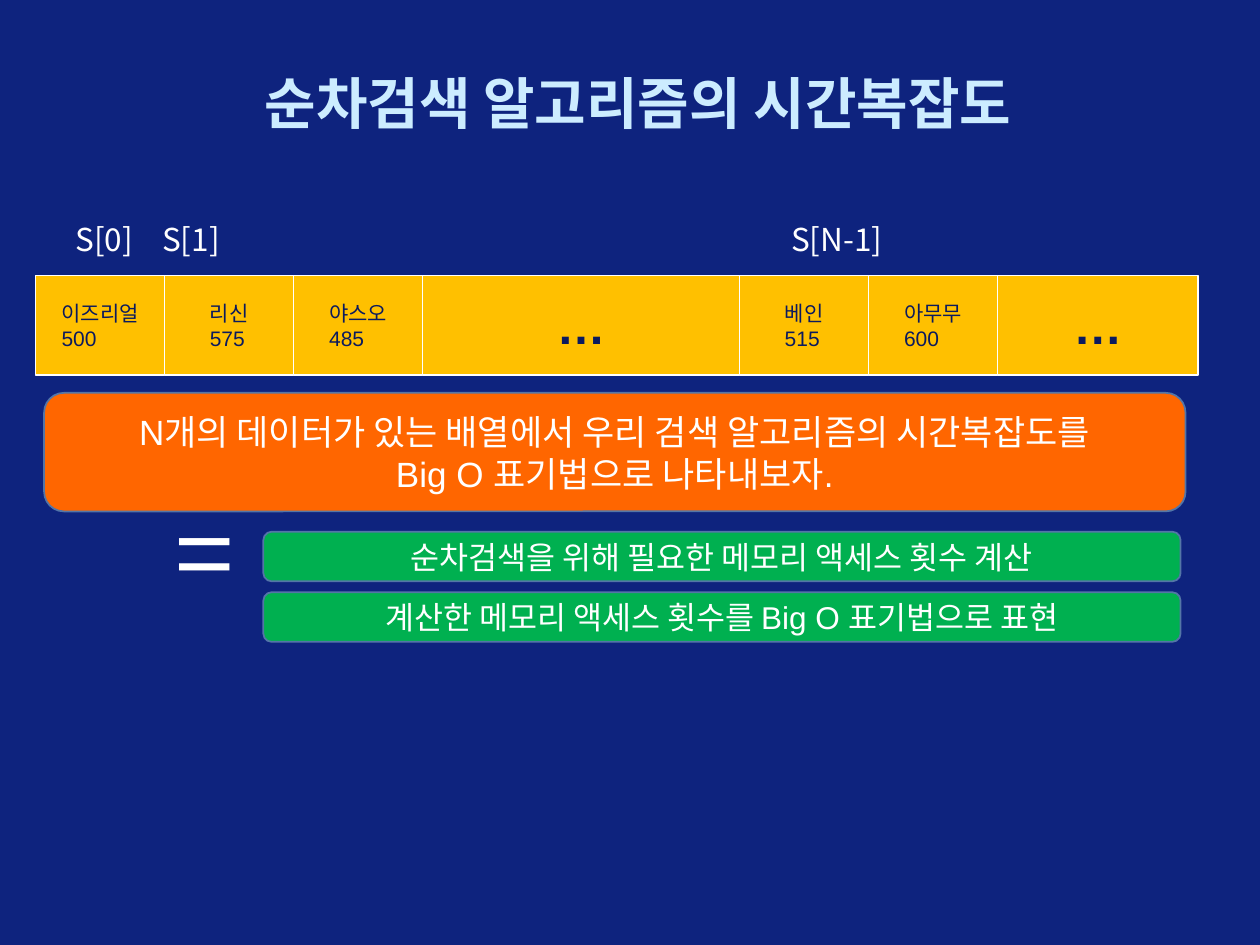
"""Build the slide on the time complexity of sequential search."""
from pptx import Presentation
from pptx.dml.color import RGBColor
from pptx.enum.shapes import MSO_SHAPE
from pptx.enum.text import MSO_ANCHOR, PP_ALIGN
from pptx.oxml.xmlchemy import OxmlElement
from pptx.util import Cm, Pt

COLORS = {"navy": "0E237E", "ice": "CCECFF", "white": "FFFFFF", "ink": "0B1A5E",
          "amber": "FFC000", "orange": "FF6600", "green": "00B050", "steel": "5375A7"}
LATIN, KOREAN = "Arial", "Noto Sans CJK KR"

TITLE = "순차검색 알고리즘의 시간복잡도"
LABELS = [("S[0]", 1.27, 1.7), ("S[1]", 3.02, 1.7), ("S[N-1]", 15.7, 2.8)]
CELLS = [(["이즈리얼", "500"], 2.6), (["리신", "575"], 2.6), (["야스오", "485"], 2.6),
         (["…"], 6.39), (["베인", "515"], 2.6), (["아무무", "600"], 2.6), (["…"], 4.04)]
TASK = ["N개의 데이터가 있는 배열에서 우리 검색 알고리즘의 시간복잡도를",
        "Big O 표기법으로 나타내보자."]
STEPS = ["순차검색을 위해 필요한 메모리 액세스 횟수 계산",
         "계산한 메모리 액세스 횟수를 Big O 표기법으로 표현"]

ARRAY_LEFT, ARRAY_TOP, ARRAY_HEIGHT = 0.72, 5.56, 2.0
STEP_TOP, STEP_PITCH = 10.72, 1.22


def rgb(name):
    return RGBColor.from_string(COLORS[name])


def write(box, lines, size, color, font=LATIN, bold=False, align=PP_ALIGN.LEFT,
          anchor=MSO_ANCHOR.MIDDLE, wrap=True):
    frame = box.text_frame
    frame.word_wrap, frame.vertical_anchor = wrap, anchor
    for index, line in enumerate(lines):
        para = frame.add_paragraph() if index else frame.paragraphs[0]
        para.alignment = align
        span = para.add_run()
        span.text = line
        for name, value in {"name": font, "size": Pt(size), "bold": bold}.items():
            setattr(span.font, name, value)
        span.font.color.rgb = rgb(color)
        east_asian = OxmlElement("a:ea")
        east_asian.set("typeface", KOREAN)
        span.font._element.append(east_asian)


def add_box(page, preset, place, fill, line, width):
    box = page.shapes.add_shape(preset, *map(Cm, place))
    box.shadow.inherit = False
    box.fill.solid()
    box.fill.fore_color.rgb = rgb(fill)
    box.line.color.rgb = rgb(line)
    box.line.width = Pt(width)
    return box


def add_text(page, place, text, size):
    box = page.shapes.add_textbox(*map(Cm, place))
    write(box, [text], size, "white", KOREAN, anchor=MSO_ANCHOR.TOP, wrap=False)


def add_panel(page, place, fill, lines, size):
    panel = add_box(page, MSO_SHAPE.ROUNDED_RECTANGLE, place, fill, "steel", 1)
    write(panel, lines, size, "white", align=PP_ALIGN.CENTER)


deck = Presentation()
deck.slide_width, deck.slide_height = Cm(25.4), Cm(19.05)
page = deck.slides.add_slide(deck.slide_layouts[5])
page.background.fill.solid()
page.background.fill.fore_color.rgb = rgb("navy")

title = page.shapes.title
title_place = {"left": 5.08, "top": 1.27, "width": 19.81, "height": 1.57}
for name, value in title_place.items():
    setattr(title, name, Cm(value))
write(title, [TITLE], 32, "ice", bold=True)

for text, left, width in LABELS:
    add_text(page, (left, 4.32, width, 1.02), text, 18)

left = ARRAY_LEFT
for lines, width in CELLS:
    cell = add_box(page, MSO_SHAPE.RECTANGLE, (left, ARRAY_TOP, width, ARRAY_HEIGHT),
                   "amber", "white", 0.75)
    is_gap = lines == ["…"]
    write(cell, lines, 28 if is_gap else 12, "ink", bold=is_gap)
    cell.text_frame._txBody.bodyPr.set("anchorCtr", "1")
    left += width

add_panel(page, (0.89, 7.92, 23.01, 2.39), "orange", TASK, 20)
add_text(page, (3.28, 9.73, 1.85, 2.82), "=", 60)
for index, step in enumerate(STEPS):
    add_panel(page, (5.31, STEP_TOP + index * STEP_PITCH, 18.49, 1.0), "green", [step], 18)

deck.save("out.pptx")
